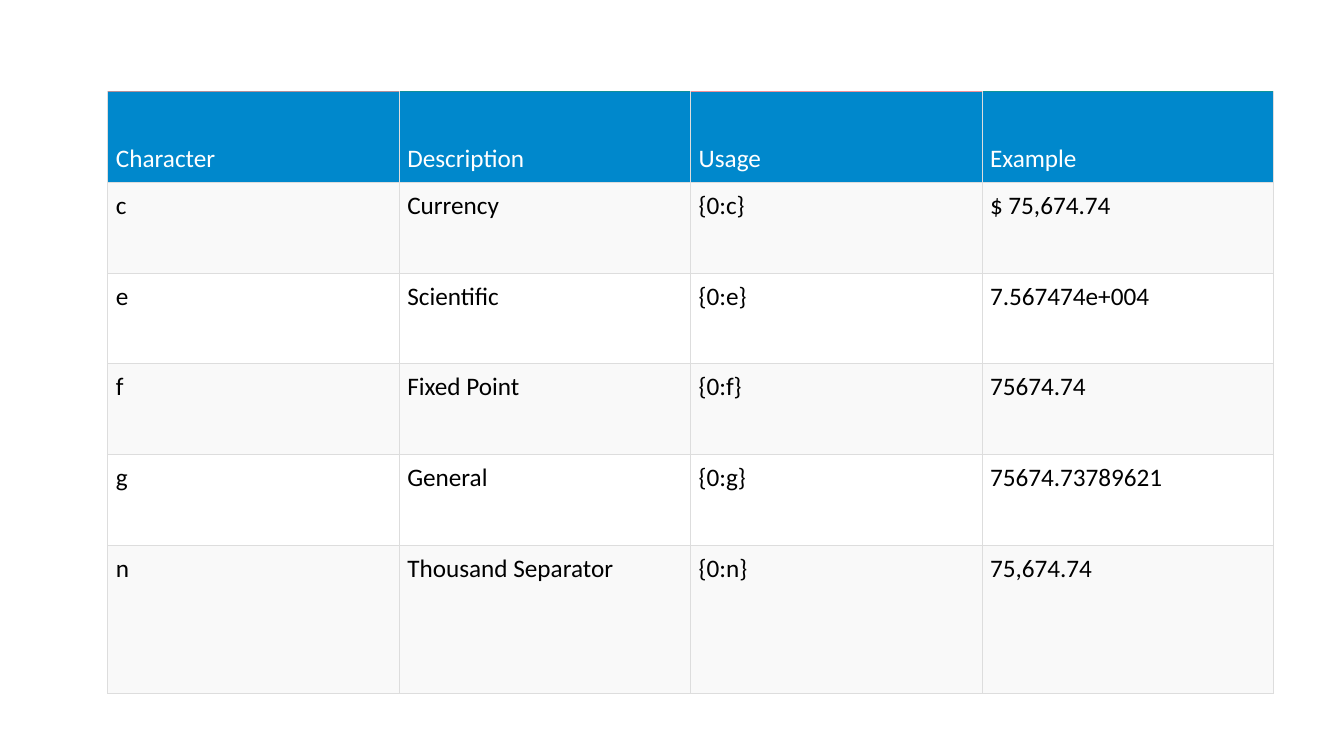
import lxml.etree
import pptx
import pptx.dml.color
import pptx.enum.text
import pptx.oxml.ns
import pptx.util

Inches = pptx.util.Inches
Anchor = pptx.enum.text.MSO_ANCHOR

HEADER = ["Character", "Description", "Usage", "Example"]
FORMATS = [
    ("c", "Currency", "$ 75,674.74"),
    ("e", "Scientific", "7.567474e+004"),
    ("f", "Fixed Point", "75674.74"),
    ("g", "General", "75674.73789621"),
    ("n", "Thousand Separator", "75,674.74"),
]
HEADER_TOP_BORDERS = ["B09099", "109099", "F09299", "109599"]
ROW_HEIGHTS = [0.9] * 5 + [1.47]
COLUMN_WIDTH = 2.89


def color(hex_value):
    return pptx.dml.color.RGBColor.from_string(hex_value)


def apply_format(target, values):
    for name, value in values.items():
        setattr(target, name, value)


class SlideBuilder:
    border_color = "DDDDDD"
    border_width = pptx.util.Pt(0.75)
    header_fill = "0088CC"
    band_fill = "F9F9F9"
    font_format = {"name": "Calibri", "size": pptx.util.Pt(18), "bold": False}
    cell_format = {f"margin_{side}": Inches(0.08)
                   for side in ("left", "right", "top", "bottom")}

    def __init__(self, slide):
        self.slide = slide

    def add_table(self, left, top, rows, column_width, row_heights):
        column_count = len(rows[0])
        table = self.slide.shapes.add_table(
            len(rows), column_count, Inches(left), Inches(top),
            Inches(column_width * column_count), Inches(sum(row_heights))).table
        for column in table.columns:
            column.width = Inches(column_width)
        for row, height in zip(table.rows, row_heights):
            row.height = Inches(height)
        for row_index, texts in enumerate(rows):
            for column_index, text in enumerate(texts):
                self.fill_cell(table.cell(row_index, column_index), text, row_index)
        return table

    def fill_cell(self, cell, text, row_index):
        is_header = row_index == 0
        cell.text = text
        apply_format(cell, self.cell_format)
        cell.vertical_anchor = Anchor.BOTTOM if is_header else Anchor.TOP
        font = cell.text_frame.paragraphs[0].runs[0].font
        apply_format(font, self.font_format)
        font.color.rgb = color("FFFFFF" if is_header else "000000")
        if is_header or row_index % 2:
            cell.fill.solid()
            cell.fill.fore_color.rgb = color(self.header_fill if is_header else self.band_fill)
        else:
            cell.fill.background()
        self.add_borders(cell)

    def add_borders(self, cell):
        """Outline all four sides; border lines must precede the fill in the XML."""
        properties = cell._tc.get_or_add_tcPr()
        for position, side in enumerate("LRTB"):
            line = lxml.etree.Element(pptx.oxml.ns.qn(f"a:ln{side}"), w=str(self.border_width))
            fill = lxml.etree.SubElement(line, pptx.oxml.ns.qn("a:solidFill"))
            lxml.etree.SubElement(fill, pptx.oxml.ns.qn("a:srgbClr"), val=self.border_color)
            properties.insert(position, line)

    def color_top_border(self, cell, hex_value):
        border = cell._tc.tcPr.find(pptx.oxml.ns.qn("a:lnT"))
        border.find(".//" + pptx.oxml.ns.qn("a:srgbClr")).set("val", hex_value)


def main():
    presentation = pptx.Presentation()
    presentation.slide_width = Inches(13.33)
    presentation.slide_height = Inches(7.5)
    slide = presentation.slides.add_slide(presentation.slide_layouts[6])

    builder = SlideBuilder(slide)
    rows = [HEADER] + [[character, description, f"{{0:{character}}}", example]
                       for character, description, example in FORMATS]
    table = builder.add_table(1.07, 0.91, rows, COLUMN_WIDTH, ROW_HEIGHTS)
    for column_index, hex_value in enumerate(HEADER_TOP_BORDERS):
        builder.color_top_border(table.cell(0, column_index), hex_value)

    presentation.save("out.pptx")


if __name__ == "__main__":
    main()
